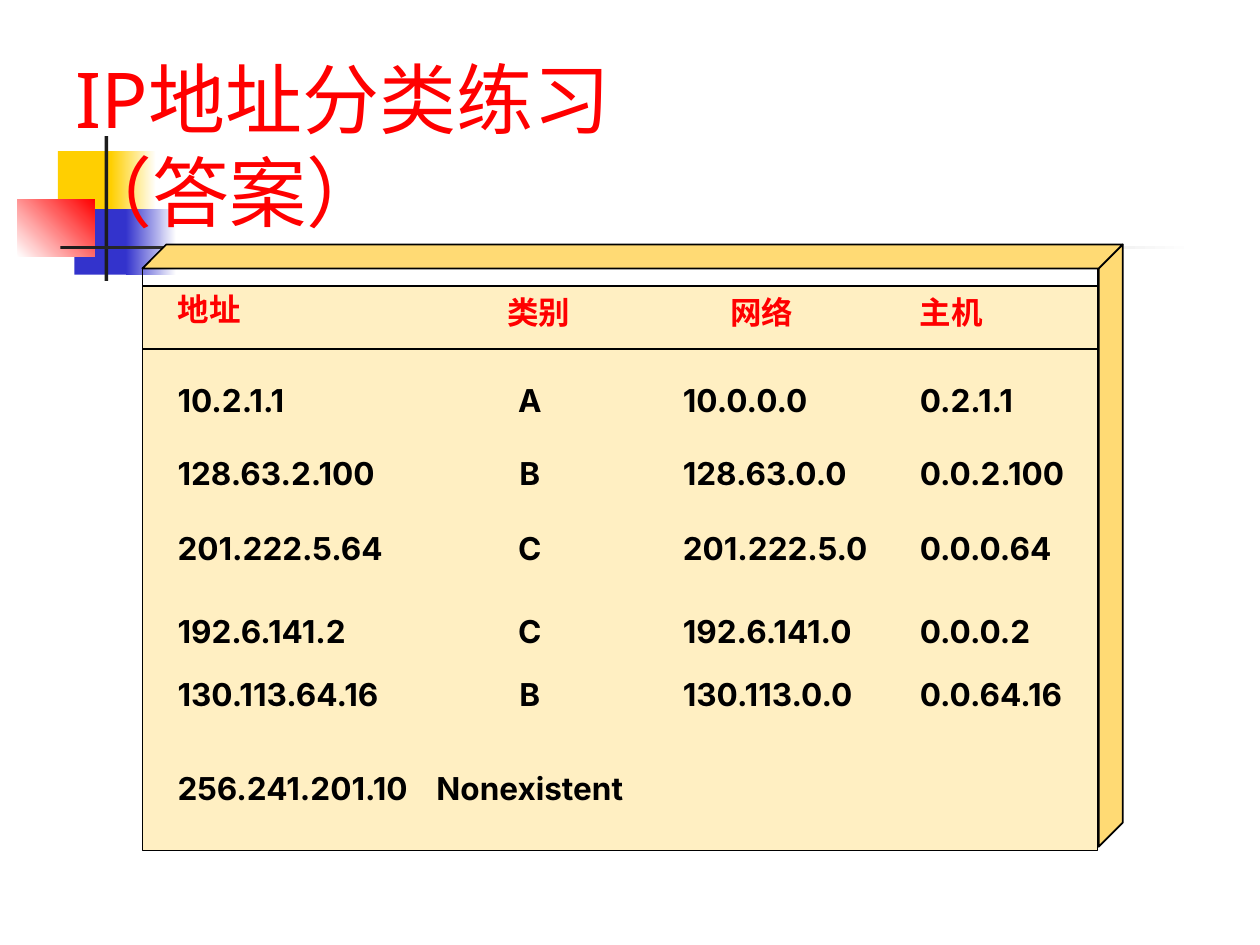
from collections import namedtuple
from dataclasses import dataclass

from lxml import etree
from pptx import Presentation
from pptx import util as u
from pptx.dml.color import RGBColor
from pptx.enum import shapes, text
from pptx.oxml.ns import qn

Box = namedtuple("Box", "left top width height")


@dataclass(frozen=True)
class Theme:
    red: str = "FF0000"
    yellow: str = "FFCF01"
    blue: str = "3333CC"
    dark: str = "1C1C1C"
    white: str = "FFFFFF"
    black: str = "000000"
    panel: str = "FFEFC2"
    bevel: str = "FFDA74"
    title_font: str = "Noto Sans"
    body_font: str = "Inter"
    title_size: int = 44
    body_size: int = 18


THEME = Theme()

HEADINGS = ["地址", "类别", "网络", "主机"]
ANSWERS = [
    ["10.2.1.1", "A", "10.0.0.0", "0.2.1.1"],
    ["128.63.2.100", "B", "128.63.0.0", "0.0.2.100"],
    ["201.222.5.64", "C", "201.222.5.0", "0.0.0.64"],
    ["192.6.141.2", "C", "192.6.141.0", "0.0.0.2"],
    ["130.113.64.16", "B", "130.113.0.0", "0.0.64.16"],
    ["256.241.201.10", "Nonexistent"],
]
ROW_OFFSETS = [1.11, 1.69, 2.28, 2.94, 3.44, 4.19]
COLUMNS = [(0.28, 2.0), (2.16, 1.83), (4.29, 1.7), (6.17, 1.42)]
HEADING_COLUMNS = [(0.28, 1.17), (2.23, 1.83), (4.29, 1.25), (6.17, 1.42)]
HEADING_OFFSETS = [0.39, 0.41, 0.41, 0.41]


def rgb(code):
    return RGBColor.from_string(code)


def style_shape(shape, fill=None, line=None):
    shape.shadow.inherit = False
    if fill:
        shape.fill.solid()
        shape.fill.fore_color.rgb = rgb(fill)
    else:
        shape.fill.background()
    if line:
        shape.line.color.rgb = rgb(line)
        shape.line.width = u.Pt(1)
    else:
        shape.line.fill.background()


def add_rectangle(page, box, fill=None, line=None):
    shape = page.shapes.add_shape(
        shapes.MSO_SHAPE.RECTANGLE, *(u.Inches(length) for length in box)
    )
    style_shape(shape, fill, line)
    return shape


def add_fade(page, box, start, end, angle=0):
    shape = add_rectangle(page, box)
    shape.fill.gradient()
    shape.fill.gradient_angle = angle
    for stop, color in zip(shape.fill.gradient_stops, (start, end)):
        stop.color.rgb = rgb(color)


def add_polygon(page, points, fill, line):
    corners = [(u.Inches(x), u.Inches(y)) for x, y in points]
    builder = page.shapes.build_freeform(*corners[0])
    builder.add_line_segments(corners[1:], close=True)
    style_shape(builder.convert_to_shape(), fill, line)


def add_text_frame(page, box):
    frame = page.shapes.add_textbox(*(u.Inches(length) for length in box)).text_frame
    frame.word_wrap = True
    frame.vertical_anchor = text.MSO_ANCHOR.MIDDLE
    return frame


def style_font(font, name, size, color, bold=False):
    font.name = name
    font.size = u.Pt(size)
    font.bold = bold
    font.color.rgb = rgb(color)


def add_text_shadow(span, color):
    effects = etree.Element(qn("a:effectLst"))
    shadow = etree.SubElement(
        effects, qn("a:outerShdw"), dist="35921", dir="2700000", algn="ctr"
    )
    etree.SubElement(shadow, qn("a:srgbClr"), val=color)
    span.font.fill
    properties = span._r.get_or_add_rPr()
    properties.insert(0, effects)


def draw_ornament(page, box):
    left, top = box.left, box.top
    add_rectangle(page, Box(left + 0.32, top + 0.12, 0.48, 0.52), THEME.yellow)
    add_fade(page, Box(left + 0.74, top + 0.12, 0.36, 0.52), THEME.yellow, THEME.white)
    add_rectangle(page, Box(left + 0.45, top + 0.58, 0.46, 0.52), THEME.blue)
    add_fade(page, Box(left + 0.86, top + 0.58, 0.4, 0.52), THEME.blue, THEME.white)
    add_fade(page, Box(left, top + 0.5, 0.61, 0.46), THEME.white, THEME.red, 45)
    add_rectangle(page, Box(left + 0.69, top, 0.03, box.height), THEME.dark)
    add_fade(
        page, Box(left + 0.34, top + 0.87, box.width - 0.34, 0.03),
        THEME.dark, THEME.white,
    )


def draw_title(page, box):
    frame = add_text_frame(page, box)
    frame.margin_left = frame.margin_right = u.Inches(0.09)
    frame.margin_top = frame.margin_bottom = u.Inches(0.04)
    para = frame.paragraphs[0]
    style_font(para.font, THEME.title_font, THEME.title_size, THEME.red)
    for index, line in enumerate(["IP地址分类练习", "（答案）"]):
        if index:
            para.add_line_break()
        span = para.add_run()
        span.text = line
        add_text_shadow(span, THEME.dark)


def draw_board(page, box):
    depth = 0.19
    right, bottom = box.left + box.width, box.top + box.height
    face_right, face_top = right - depth, box.top + depth
    face_width = box.width - 2 * 0.1
    add_rectangle(
        page, Box(box.left, box.top + 0.33, face_width, box.height - 0.33),
        THEME.panel, THEME.black,
    )
    add_rectangle(page, Box(box.left, face_top, face_width, 0.64), line=THEME.black)
    side = [
        (right, box.top), (face_right, face_top),
        (face_right, bottom - 0.03), (right, bottom - 0.03 - depth),
    ]
    lid = [
        (box.left, face_top), (box.left + depth, box.top),
        (right, box.top), (face_right, face_top),
    ]
    for points in (side, lid):
        add_polygon(page, points, THEME.bevel, THEME.black)


def add_entry(page, box, words, color, centered):
    frame = add_text_frame(page, box)
    frame.margin_left = frame.margin_right = 0
    frame.margin_top = frame.margin_bottom = 0
    para = frame.paragraphs[0]
    para.text = words
    para.line_spacing = 0.95
    para.alignment = text.PP_ALIGN.CENTER if centered else text.PP_ALIGN.LEFT
    style_font(para.font, THEME.body_font, THEME.body_size, color, bold=True)


def draw_answers(page, box):
    height = 0.28
    for index, words in enumerate(HEADINGS):
        offset, width = HEADING_COLUMNS[index]
        place = Box(box.left + offset, box.top + HEADING_OFFSETS[index], width, height)
        add_entry(page, place, words, THEME.red, index in (1, 2))
    for row, row_offset in zip(ANSWERS, ROW_OFFSETS):
        for index, (words, (offset, width)) in enumerate(zip(row, COLUMNS)):
            place = Box(box.left + offset, box.top + row_offset, width, height)
            add_entry(page, place, words, THEME.black, index == 1)


def main():
    deck = Presentation()
    deck.slide_width, deck.slide_height = u.Inches(10), u.Inches(7.5)
    page = deck.slides.add_slide(deck.slide_layouts[6])
    board = Box(1.13, 1.94, 7.78, 4.81)
    draw_ornament(page, Box(0.14, 1.08, 9.34, 1.15))
    draw_title(page, Box(0.51, 0.52, 8.89, 1.25))
    draw_board(page, board)
    draw_answers(page, board)
    deck.save("out.pptx")


if __name__ == "__main__":
    main()
